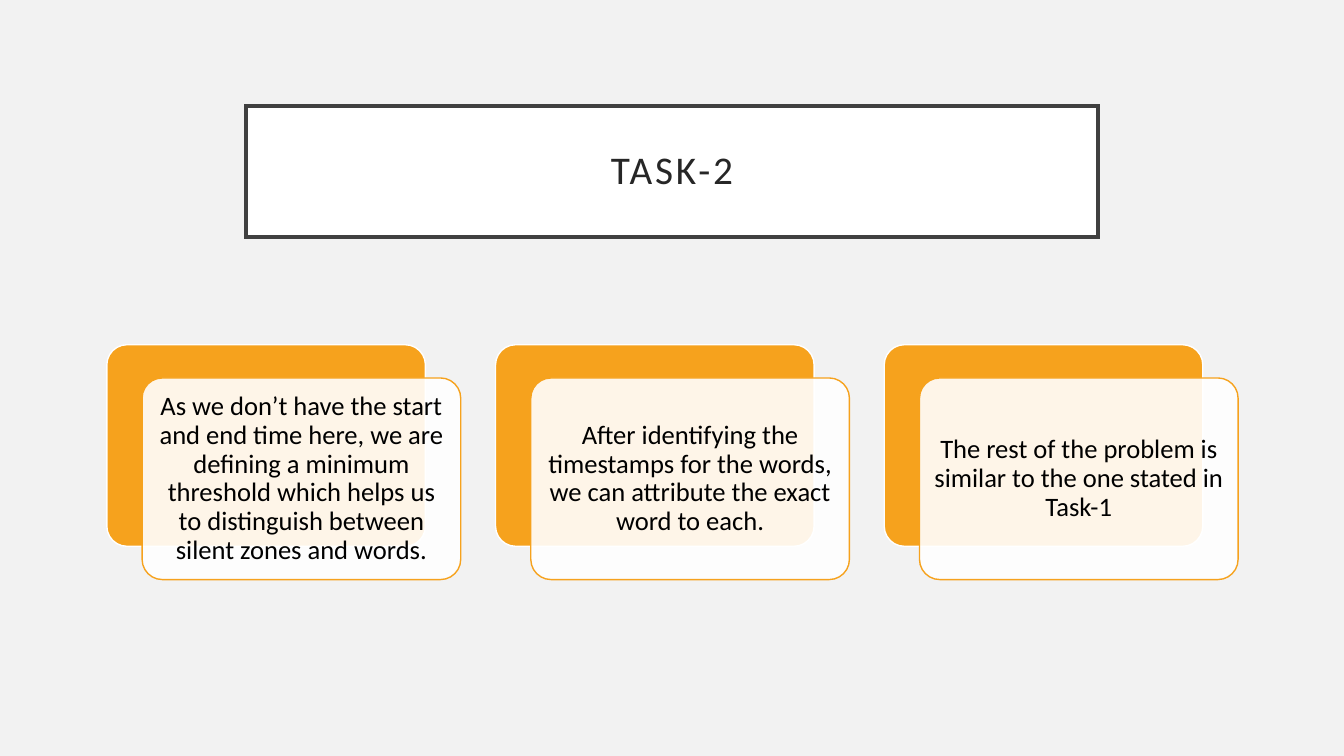
import pptx
import pptx.dml.color
import pptx.enum.shapes
import pptx.enum.text
import pptx.oxml.ns
import pptx.util
from lxml import etree

Inches = pptx.util.Inches
Pt = pptx.util.Pt
RGBColor = pptx.dml.color.RGBColor
MSO_SHAPE = pptx.enum.shapes.MSO_SHAPE
qn = pptx.oxml.ns.qn

PAGE_GREY = RGBColor(0xF2, 0xF2, 0xF2)
WHITE = RGBColor(0xFF, 0xFF, 0xFF)
BLACK = RGBColor(0x00, 0x00, 0x00)
FRAME_GREY = RGBColor(0x40, 0x40, 0x40)
TITLE_GREY = RGBColor(0x26, 0x26, 0x26)
ORANGE = RGBColor(0xF6, 0xA2, 0x1D)

FONT = "Calibri"
CARD_TEXTS = [
    "As we don’t have the start and end time here, we are defining a minimum "
    "threshold which helps us to distinguish between silent zones and words.",
    "After identifying the timestamps for the words, we can attribute the "
    "exact word to each.",
    "The rest of the problem is similar to the one stated in Task-1",
]


def add_panel(page, kind, left, top, width, height, fill, line, line_width):
    panel = page.shapes.add_shape(kind, left, top, width, height)
    panel.shadow.inherit = False
    panel.fill.solid()
    panel.fill.fore_color.rgb = fill
    panel.line.color.rgb = line
    panel.line.width = Pt(line_width)
    etree.SubElement(panel.line._get_or_add_ln(), qn("a:miter")).set("lim", "800000")
    if kind == MSO_SHAPE.ROUNDED_RECTANGLE:
        panel.adjustments[0] = 0.1
    return panel


def write_centred(panel, text, size, color, inset):
    """Fill the panel with one centred paragraph and return its run."""
    frame = panel.text_frame
    frame.word_wrap = True
    frame.vertical_anchor = pptx.enum.text.MSO_ANCHOR.MIDDLE
    frame.margin_left = frame.margin_right = inset
    frame.margin_top = frame.margin_bottom = inset
    para = frame.paragraphs[0]
    para.alignment = pptx.enum.text.PP_ALIGN.CENTER
    para.line_spacing = 0.9
    span = para.add_run()
    span.text = text
    span.font.name = FONT
    span.font.size = Pt(size)
    span.font.color.rgb = color
    return span


def set_opacity(panel, percent):
    color = panel.fill._xPr.find(".//" + qn("a:srgbClr"))
    etree.SubElement(color, qn("a:alpha")).set("val", str(percent * 1000))


def add_title(page, left, top, width, height):
    frame = add_panel(page, MSO_SHAPE.RECTANGLE, left, top, width, height,
                      WHITE, FRAME_GREY, 2.5)
    span = write_centred(frame, "TASK-2", 28, TITLE_GREY, Inches(0.2))
    span.font._element.set("spc", "200")


def add_card(page, left, top, width, height, text):
    """Place an orange back panel and an offset, translucent text panel."""
    shift_x, shift_y = Inches(0.35), Inches(0.33)
    panel_size = width - shift_x, height - shift_y
    add_panel(page, MSO_SHAPE.ROUNDED_RECTANGLE, left, top, *panel_size,
              ORANGE, WHITE, 1)
    front = add_panel(page, MSO_SHAPE.ROUNDED_RECTANGLE, left + shift_x,
                      top + shift_y, *panel_size, WHITE, ORANGE, 1)
    set_opacity(front, 90)
    write_centred(front, text, 19, BLACK, Inches(0.08))


def add_card_row(page, left, top, width, height):
    card_width = Inches(3.51)
    step = (width - card_width) // (len(CARD_TEXTS) - 1)
    for index, text in enumerate(CARD_TEXTS):
        add_card(page, left + index * step, top, card_width, height, text)


def main():
    deck = pptx.Presentation()
    deck.slide_width = Inches(13.33)
    deck.slide_height = Inches(7.5)
    page = deck.slides.add_slide(deck.slide_layouts[6])
    page.background.fill.solid()
    page.background.fill.fore_color.rgb = PAGE_GREY
    add_title(page, Inches(2.44), Inches(1.05), Inches(8.45), Inches(1.3))
    add_card_row(page, Inches(1.06), Inches(3.42), Inches(11.22), Inches(2.33))
    deck.save("out.pptx")


if __name__ == "__main__":
    main()
